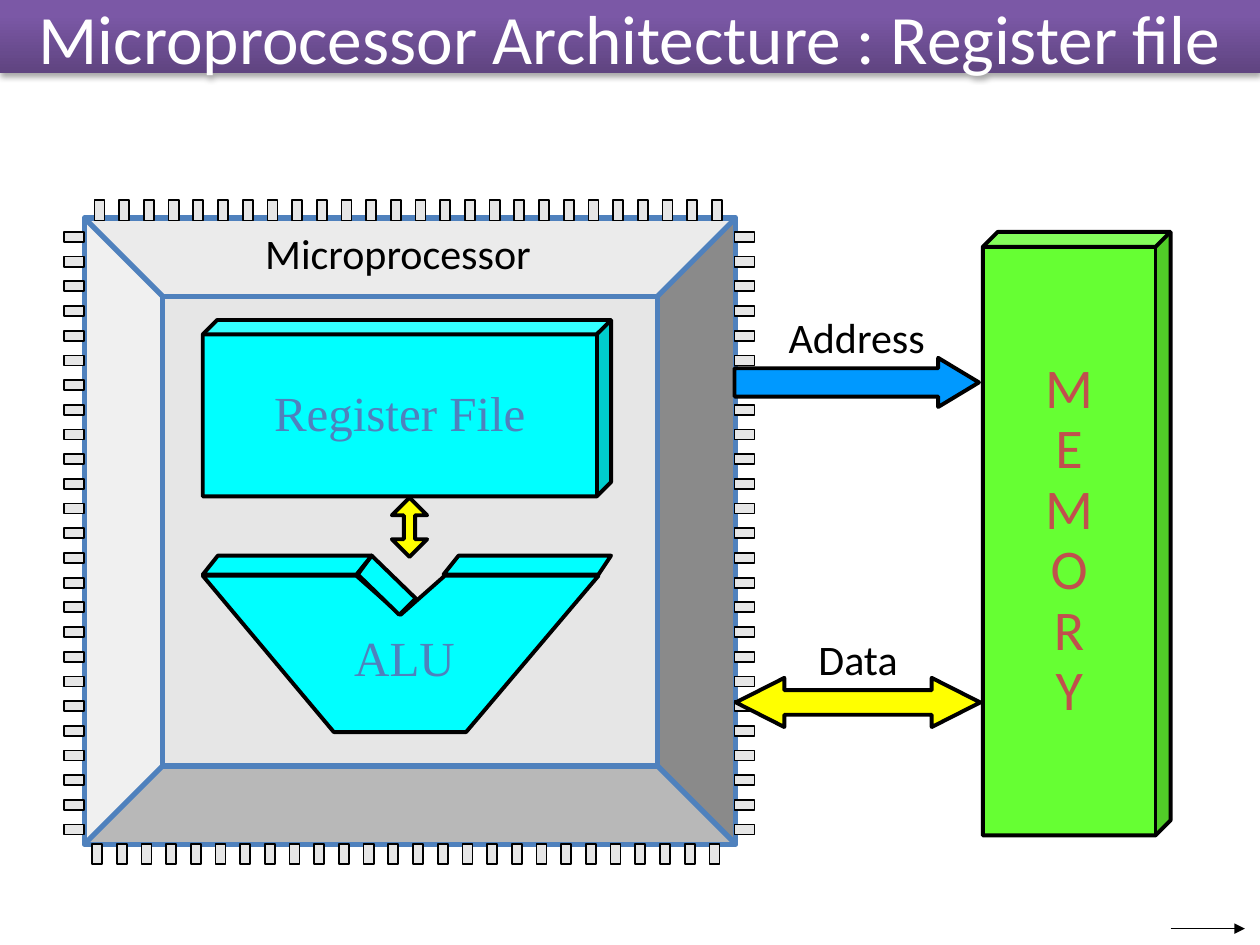
from copy import deepcopy
from dataclasses import dataclass

from lxml.etree import SubElement
from pptx import Presentation
from pptx.dml.color import RGBColor
from pptx.enum.shapes import MSO_CONNECTOR, MSO_SHAPE
from pptx.enum.text import MSO_ANCHOR, PP_ALIGN
from pptx.oxml.ns import qn
from pptx.util import Inches, Pt


@dataclass(frozen=True)
class Theme:
    white: str = "FFFFFF"
    black: str = "000000"
    chip: str = "E6E6E6"
    blue: str = "4F81BD"
    cyan: str = "00FFFF"
    yellow: str = "FFFF00"
    address: str = "0099FF"
    memory: str = "66FF33"
    red: str = "C0504D"
    banner: tuple = ((0, "5F4480"), (0.8, "7B58A6"), (1, "7C57A8"))
    sans: str = "Calibri"
    serif: str = "Times New Roman"
    title_size: float = 39.6
    memory_size: float = 32
    unit_size: float = 28
    label_size: float = 24
    outline: float = 2.25
    bevel_line: float = 3
    pin_line: float = 1
    thin_line: float = 0.75


THEME = Theme()


@dataclass(frozen=True)
class Box:
    left: float
    top: float
    width: float
    height: float

    def inner(self, left, top, width, height):
        return Box(self.left + left, self.top + top, width, height)

    def lengths(self):
        return [Inches(n) for n in (self.left, self.top, self.width, self.height)]


def rgb(color):
    return RGBColor.from_string(color)


def paint(shape, fill, line, weight=THEME.outline):
    shape.shadow.inherit = False
    shape.fill.solid()
    shape.fill.fore_color.rgb = rgb(fill)
    shape.line.color.rgb = rgb(line)
    shape.line.width = Pt(weight)


def add_preset(shapes, kind, box, fill, adjustments=(), line=THEME.black, weight=THEME.outline):
    shape = shapes.add_shape(kind, *box.lengths())
    for index, value in enumerate(adjustments):
        shape.adjustments[index] = value
    paint(shape, fill, line, weight)
    return shape


def add_polygon(shapes, box, points):
    start, *rest = [(Inches(box.left + x), Inches(box.top + y)) for x, y in points]
    builder = shapes.build_freeform(*start)
    builder.add_line_segments(rest, close=True)
    paint(builder.convert_to_shape(), THEME.cyan, THEME.black)


def write(shape, text, size, color, font=THEME.sans, spacing=0.9, margin=0):
    frame = shape.text_frame
    frame.word_wrap = True
    frame.vertical_anchor = MSO_ANCHOR.MIDDLE
    frame.margin_left = frame.margin_right = Inches(margin)
    frame.margin_top = frame.margin_bottom = Inches(margin / 2)
    frame.text = text
    paragraph = frame.paragraphs[0]
    paragraph.alignment = PP_ALIGN.CENTER
    paragraph.line_spacing = spacing
    for run in paragraph.runs:
        run.font.size = Pt(size)
        run.font.name = font
        run.font.color.rgb = rgb(color)


def add_label(shapes, box, text, size=THEME.label_size, color=THEME.black, font=THEME.sans):
    write(shapes.add_textbox(*box.lengths()), text, size, color, font)


def add_title(shapes, box):
    banner = shapes.add_shape(MSO_SHAPE.RECTANGLE, *box.lengths())
    banner.line.fill.background()
    banner.fill.gradient()
    banner.fill.gradient_angle = 90
    properties = banner._element.spPr
    stops = properties.find(".//" + qn("a:gsLst"))
    stops.append(deepcopy(stops[-1]))
    for stop, (position, color) in zip(banner.fill.gradient_stops, THEME.banner):
        stop.position = position
        stop.color.rgb = rgb(color)
    banner.shadow.inherit = False
    shadow = SubElement(properties.find(qn("a:effectLst")), qn("a:outerShdw"),
                        blurRad=str(Pt(3.1)), dist=str(Pt(1.8)), dir="5400000", rotWithShape="0")
    color = SubElement(shadow, qn("a:srgbClr"), val=THEME.black)
    SubElement(color, qn("a:alpha"), val="35000")
    write(banner, "Microprocessor Architecture : Register file", THEME.title_size,
          THEME.white, spacing=1, margin=0.1)


def add_pins(shapes, box, left, top, count, step_x=0, step_y=0):
    for index in range(count):
        place = box.inner(left + index * step_x, top + index * step_y, 0.08, 0.16)
        pin = add_preset(shapes, MSO_SHAPE.RECTANGLE, place, THEME.chip, weight=THEME.pin_line)
        pin.rotation = 270 if step_y else 0


def add_alu(shapes, box):
    faces = (
        ((0, 0.16), (1.22, 0.16), (1.57, 0.47), (1.92, 0.16), (3.14, 0.16), (2.09, 1.4), (1.04, 1.4)),
        ((1.91, 0.15), (2.03, 0), (3.24, 0), (3.14, 0.15)),
        ((1.23, 0.15), (1.34, 0), (1.69, 0.34), (1.56, 0.47)),
        ((0, 0.15), (0.12, 0), (1.34, 0), (1.22, 0.15)),
    )
    for points in faces:
        add_polygon(shapes, box, points)
    add_label(shapes, box.inner(1.06, 0.62, 1.08, 0.42), "ALU",
              THEME.unit_size, THEME.blue, THEME.serif)


def add_microprocessor(shapes, box):
    group = shapes.add_group_shape().shapes
    add_preset(group, MSO_SHAPE.BEVEL, box, THEME.chip, (0.125,), THEME.blue, THEME.bevel_line)
    register = add_preset(group, MSO_SHAPE.CUBE, box.inner(0.94, 0.81, 3.24, 1.4),
                          THEME.cyan, (0.081,))
    write(register, "Register File", THEME.unit_size, THEME.blue, THEME.serif)
    add_preset(group, MSO_SHAPE.UP_DOWN_ARROW, box.inner(2.44, 2.22, 0.28, 0.47),
               THEME.yellow, (0.418, 0.321))
    add_alu(group, box.inner(0.94, 2.68, 3.24, 1.4))
    add_label(group, box.inner(1.21, 0.12, 2.56, 0.36), "Microprocessor")
    step = 4.9 / 25
    add_pins(group, box, 0.08, -0.14, 26, step_x=step)
    add_pins(group, box, 0.06, box.height, 26, step_x=step)
    add_pins(group, box, box.width + 0.03, 0.07, 25, step_y=step)
    add_pins(group, box, -0.12, 0.07, 25, step_y=step)


def add_memory(shapes, box):
    memory = add_preset(shapes, MSO_SHAPE.CUBE, box, THEME.memory, (0.08,))
    write(memory, "\v".join("MEMORY"), THEME.memory_size, THEME.red)


def add_bus(shapes, box, text, label_width, kind, fill, adjustments):
    label_left = (box.width - label_width) / 2
    add_label(shapes, box.inner(label_left, 0, label_width, 0.36), text)
    arrow = box.inner(0, box.height - 0.39, box.width, 0.39)
    add_preset(shapes, kind, arrow, fill, adjustments)


def add_next_arrow(shapes, box):
    left, top, width, height = box.lengths()
    arrow = shapes.add_connector(MSO_CONNECTOR.STRAIGHT, left, top, left + width, top + height)
    arrow.line.color.rgb = rgb(THEME.black)
    arrow.line.width = Pt(THEME.thin_line)
    properties = arrow._element.spPr
    SubElement(properties.find(qn("a:ln")), qn("a:tailEnd"), type="triangle")
    SubElement(properties, qn("a:effectLst"))


def main():
    presentation = Presentation()
    presentation.slide_width = Inches(10)
    presentation.slide_height = Inches(7.5)
    slide = presentation.slides.add_slide(presentation.slide_layouts[6])
    shapes = slide.shapes
    add_title(shapes, Box(0, 0, 10, 0.58))
    add_microprocessor(shapes, Box(0.67, 1.73, 5.17, 4.97))
    add_memory(shapes, Box(7.8, 1.84, 1.49, 4.79))
    add_bus(shapes, Box(5.83, 2.52, 1.94, 0.71), "Address", 1.43,
            MSO_SHAPE.RIGHT_ARROW, THEME.address, (0.575, 0.83))
    add_bus(shapes, Box(5.84, 5.07, 1.94, 0.7), "Data", 0.98,
            MSO_SHAPE.LEFT_RIGHT_ARROW, THEME.yellow, (0.5, 0.987))
    add_next_arrow(shapes, Box(9.29, 7.37, 0.59, 0))
    presentation.save("out.pptx")


if __name__ == "__main__":
    main()
